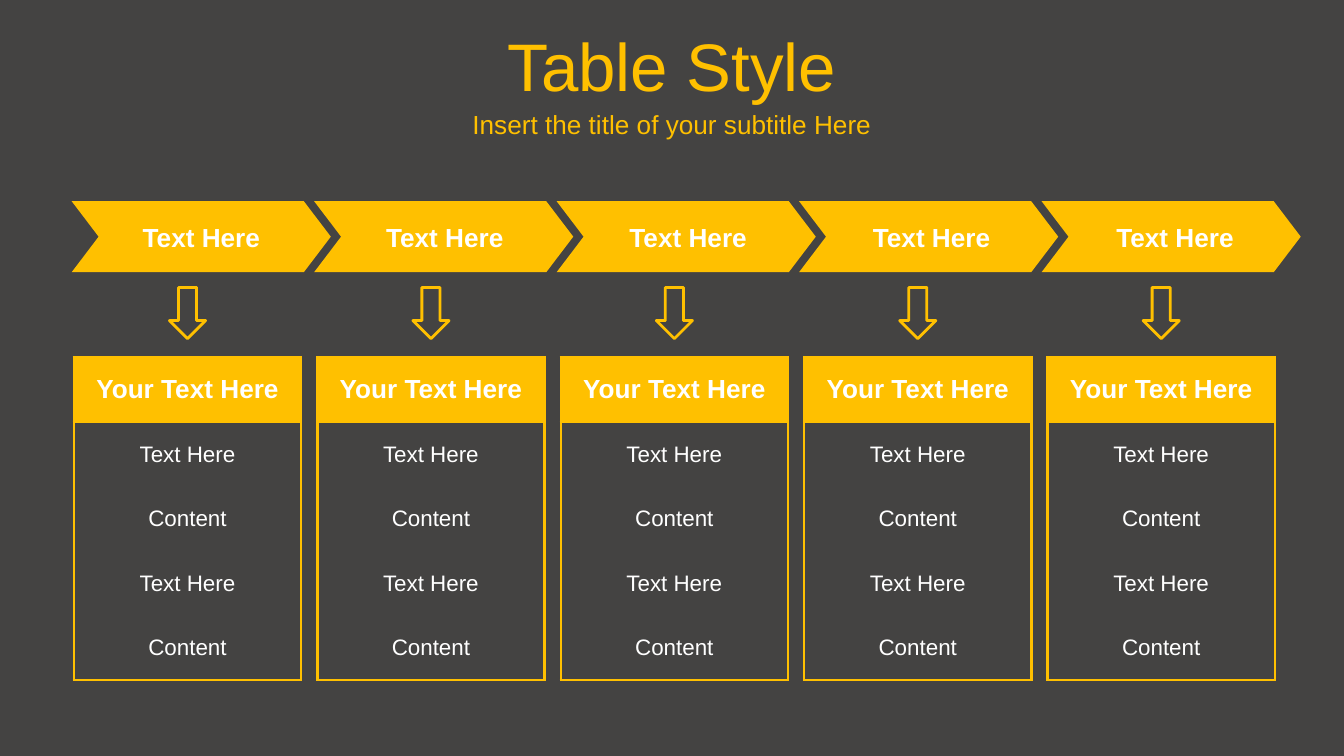
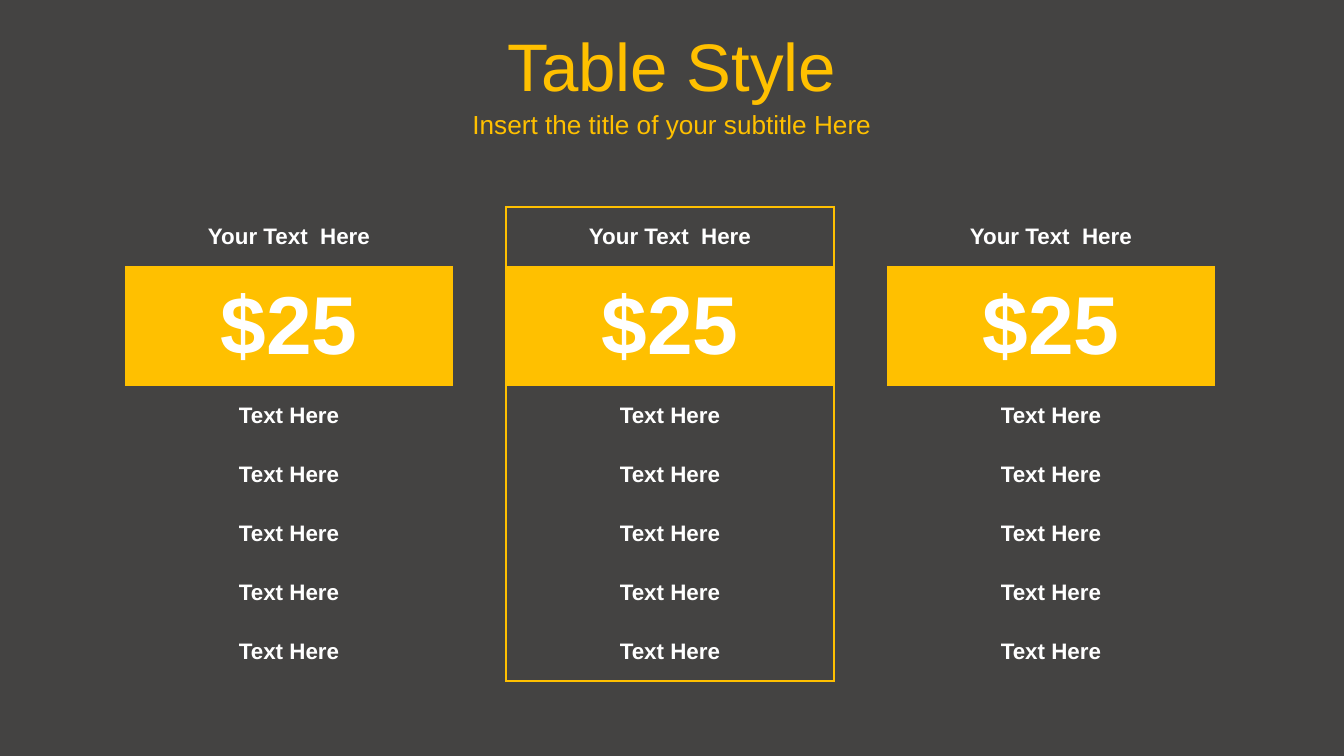
"""Build two slides of table styles: a five-step process and a price comparison."""
from collections import namedtuple

from lxml import etree
from pptx import Presentation
from pptx.dml.color import RGBColor
from pptx.enum.shapes import MSO_SHAPE
from pptx.enum.text import MSO_ANCHOR, PP_ALIGN
from pptx.oxml.ns import qn
from pptx.util import Pt

CHEVRON, DOWN_ARROW = MSO_SHAPE.CHEVRON, MSO_SHAPE.DOWN_ARROW
CENTER = PP_ALIGN.CENTER
TOP, MIDDLE = MSO_ANCHOR.TOP, MSO_ANCHOR.MIDDLE

COLORS = {"background": "444342", "accent": "FFC000", "text": "FFFFFF"}
FONT = "Arial"
SLIDE_WIDTH, SLIDE_HEIGHT = 720, 405
LINE_WIDTH = 1.5
NO_STYLE = "{2D5ABB26-0587-4C30-8999-92F81FD0307C}"

TITLE = "Table Style"
SUBTITLE = "Insert the title of your subtitle Here"

Row = namedtuple("Row", "text height size bold filled merged ruled")

STEPS = ["Text Here"] * 5
STEP_ROWS = [Row("Your Text Here", 34.56, 14, True, True, False, True)] + [
    Row(text, 34.56, 12, False, False, False, False)
    for text in ("Text Here", "Content", "Text Here", "Content")
]
STEP_WIDTHS = [121.8]
STEP_PITCH, CHEVRON_PITCH = 130.4, 129.9

PLAN_FRAMED = [False, True, False]
PLAN_ROWS = [
    Row("Your Text  Here", 31.6, 12, True, False, True, False),
    Row("$25", 64.4, 44, True, True, True, False),
] + [Row("Text Here", 31.6, 12, True, False, False, False)] * 5
PLAN_WIDTHS = [19.8, 136.1, 19.8]
PLAN_PITCH = 204.1


def rgb(name):
    return RGBColor.from_string(COLORS[name])


def write(frame, text, size, color="text", bold=False):
    paragraph = frame.paragraphs[0]
    paragraph.text = text
    paragraph.alignment = CENTER
    font = paragraph.font
    font.name, font.size, font.bold = FONT, Pt(size), bold
    font.color.rgb = rgb(color)
    return paragraph


def add_text(slide, box, text, size, color="text", bold=False, anchor=TOP):
    frame = slide.shapes.add_textbox(*map(Pt, box)).text_frame
    frame.word_wrap = True
    frame.vertical_anchor = anchor
    return write(frame, text, size, color, bold)


def add_outline_or_solid(slide, kind, box, solid):
    shape = slide.shapes.add_shape(kind, *map(Pt, box))
    shape.shadow.inherit = False
    if solid:
        shape.fill.solid()
        shape.fill.fore_color.rgb = rgb("accent")
        shape.line.fill.background()
    else:
        shape.fill.background()
        shape.line.color.rgb = rgb("accent")
        shape.line.width = Pt(LINE_WIDTH)
    return shape


def set_borders(cell, sides):
    properties = cell._tc.get_or_add_tcPr()
    for index, side in enumerate("LRTB"):
        line = etree.Element(qn(f"a:ln{side}"), w=str(Pt(LINE_WIDTH)))
        if side in sides:
            fill = etree.SubElement(line, qn("a:solidFill"))
            etree.SubElement(fill, qn("a:srgbClr"), val=COLORS["accent"])
        else:
            etree.SubElement(line, qn("a:noFill"))
        properties.insert(index, line)


def add_table(slide, left, top, widths, rows, framed):
    height = sum(row.height for row in rows)
    frame = slide.shapes.add_table(
        len(rows), len(widths), Pt(left), Pt(top), Pt(sum(widths)), Pt(height))
    table = frame.table
    table.first_row = table.horz_banding = False
    table._tbl.tblPr.find(qn("a:tableStyleId")).text = NO_STYLE
    for column, width in zip(table.columns, widths):
        column.width = Pt(width)
    last_row, last_column = len(rows) - 1, len(widths) - 1
    for row_index, row in enumerate(rows):
        table.rows[row_index].height = Pt(row.height)
        text_column = 0 if row.merged else len(widths) // 2
        for column_index in range(len(widths)):
            cell = table.cell(row_index, column_index)
            cell.vertical_anchor = MIDDLE
            if row.filled:
                cell.fill.solid()
                cell.fill.fore_color.rgb = rgb("accent")
            else:
                cell.fill.background()
            if column_index == text_column:
                write(cell.text_frame, row.text, row.size, bold=row.bold)
            edges = {
                "L": column_index == 0,
                "R": row.merged or column_index == last_column,
                "T": row_index == 0 or rows[row_index - 1].ruled,
                "B": row_index == last_row or row.ruled,
            }
            set_borders(cell, [side for side in edges if framed and edges[side]])
        if row.merged:
            table.cell(row_index, 0).merge(table.cell(row_index, last_column))


def add_slide(presentation):
    slide = presentation.slides.add_slide(presentation.slide_layouts[6])
    slide.background.fill.solid()
    slide.background.fill.fore_color.rgb = rgb("background")
    for text, top, height, size in ((TITLE, 12.2, 45.4, 36), (SUBTITLE, 55.4, 22.3, 14)):
        box = (0, top, SLIDE_WIDTH, height)
        paragraph = add_text(slide, box, text, size, "accent", anchor=MIDDLE)
        paragraph.space_before = Pt(size * 0.2)
    return slide


def build_process(presentation):
    slide = add_slide(presentation)
    for index, step in enumerate(STEPS):
        offset = index * STEP_PITCH
        add_table(slide, 39.6 + offset, 191.5, STEP_WIDTHS, STEP_ROWS, True)
        chevron_box = (38.4 + index * CHEVRON_PITCH, 107.8, 138.8, 38)
        chevron = add_outline_or_solid(slide, CHEVRON, chevron_box, True)
        chevron.adjustments[0] = 0.38
        add_outline_or_solid(slide, DOWN_ARROW, (90.8 + offset, 154, 19.4, 27.4), False)
        add_text(slide, (56.8 + offset, 115.3, 102.2, 24.2), step, 14, bold=True)


def build_plans(presentation):
    slide = add_slide(presentation)
    for index, framed in enumerate(PLAN_FRAMED):
        add_table(slide, 67 + index * PLAN_PITCH, 110.9, PLAN_WIDTHS, PLAN_ROWS, framed)


def main():
    presentation = Presentation()
    presentation.slide_width = Pt(SLIDE_WIDTH)
    presentation.slide_height = Pt(SLIDE_HEIGHT)
    build_process(presentation)
    build_plans(presentation)
    presentation.save("out.pptx")


if __name__ == "__main__":
    main()
